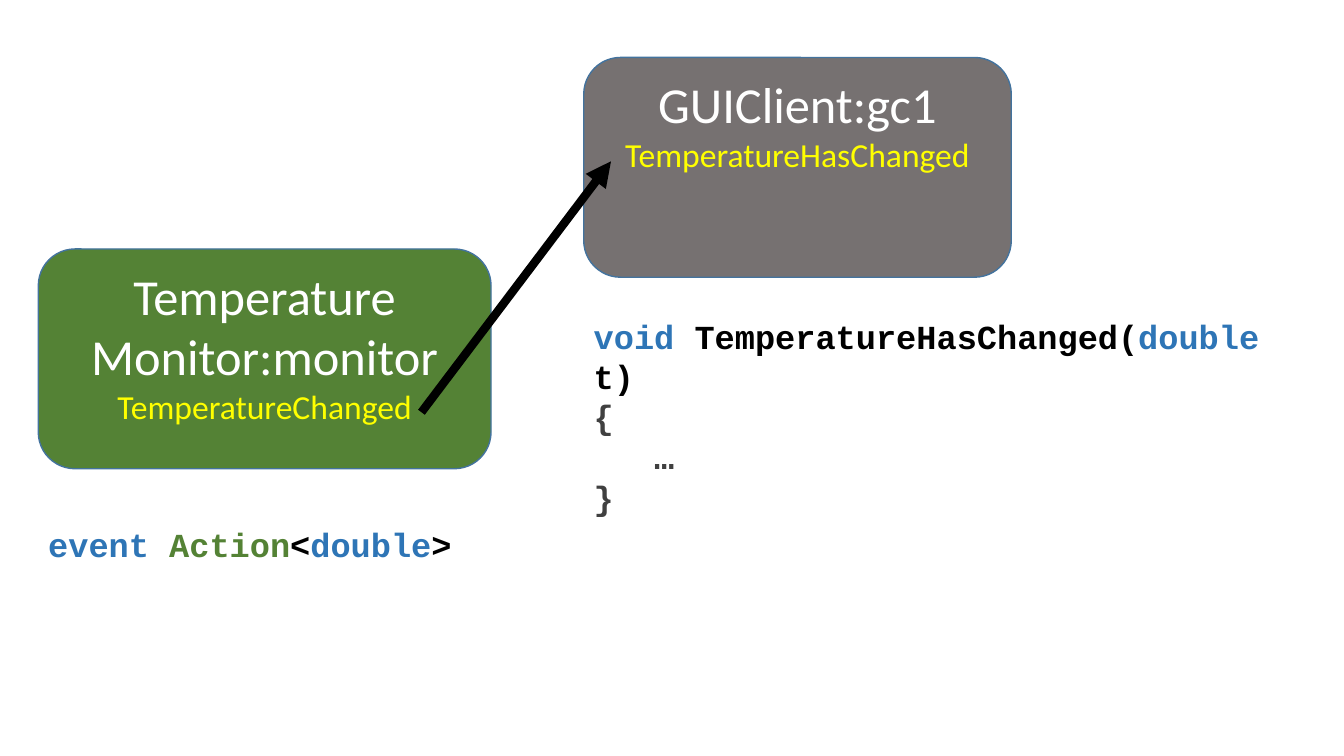
from lxml.etree import SubElement
from pptx import Presentation
from pptx.dml.color import RGBColor
from pptx.enum.shapes import MSO_CONNECTOR, MSO_SHAPE
from pptx.enum.text import MSO_ANCHOR, MSO_AUTO_SIZE, PP_ALIGN
from pptx.oxml.ns import qn
from pptx.util import Inches, Pt

WHITE, YELLOW, BLACK = "FFFFFF", "FFFF00", "000000"
GREEN, GRAY, BLUE, DARK = "548235", "767171", "2E75B6", "404040"
EDGE = "43739E"


def color(value):
    return RGBColor.from_string(value)


def add_run(para, text, size, font, tint, bold=False):
    run = para.add_run()
    run.text = text
    run.font.size = Pt(size)
    run.font.name = font
    run.font.bold = bold
    run.font.color.rgb = color(tint)


def next_para(frame, index):
    return frame.add_paragraph() if index else frame.paragraphs[0]


def add_object(slide, left, top, width, fill, title, member):
    """Draw a rounded object box: title lines above a yellow member name."""
    box = slide.shapes.add_shape(MSO_SHAPE.ROUNDED_RECTANGLE, Inches(left),
                                 Inches(top), Inches(width), Inches(2.18))
    box.shadow.inherit = False
    box.fill.solid()
    box.fill.fore_color.rgb = color(fill)
    box.line.color.rgb = color(EDGE)
    box.line.width = Pt(1)
    frame = box.text_frame
    frame.word_wrap = True
    frame.vertical_anchor = MSO_ANCHOR.TOP
    lines = [(text, 36, WHITE) for text in title] + [(member, 24, YELLOW)]
    for index, (text, size, tint) in enumerate(lines):
        para = next_para(frame, index)
        para.alignment = PP_ALIGN.CENTER
        add_run(para, text, size, "Calibri", tint)


def add_code(slide, left, top, width, height, lines):
    """Add a code listing; each line is a list of (text, color) pairs."""
    box = slide.shapes.add_textbox(Inches(left), Inches(top),
                                   Inches(width), Inches(height))
    frame = box.text_frame
    frame.word_wrap = True
    frame.auto_size = MSO_AUTO_SIZE.SHAPE_TO_FIT_TEXT
    for index, line in enumerate(lines):
        para = next_para(frame, index)
        for text, tint in line:
            add_run(para, text, 24, "Courier New", tint, bold=True)


def add_arrow(slide, x1, y1, x2, y2):
    arrow = slide.shapes.add_connector(MSO_CONNECTOR.STRAIGHT, Inches(x1),
                                       Inches(y1), Inches(x2), Inches(y2))
    arrow.line.color.rgb = color(BLACK)
    arrow.line.width = Pt(6)
    SubElement(arrow.line._get_or_add_ln(), qn("a:tailEnd"), type="triangle")
    SubElement(arrow._element.spPr, qn("a:effectLst"))


def main():
    deck = Presentation()
    deck.slide_width = Inches(13.33)
    deck.slide_height = Inches(7.5)
    slide = deck.slides.add_slide(deck.slide_layouts[6])

    add_object(slide, 0.38, 2.47, 4.49, GREEN,
               ["Temperature", "Monitor:monitor"], "TemperatureChanged")
    add_object(slide, 5.79, 0.57, 4.24, GRAY,
               ["GUIClient:gc1"], "TemperatureHasChanged")
    add_arrow(slide, 4.18, 4.09, 6.06, 1.6)

    add_code(slide, 0.38, 5.15, 4.36, 0.5, [
        [("event ", BLUE), ("Action", GREEN), ("<", BLACK),
         ("double", BLUE), (">", BLACK)],
    ])
    add_code(slide, 5.79, 3.08, 7.16, 1.72, [
        [("void ", BLUE), ("TemperatureHasChanged(", BLACK),
         ("double", BLUE), (" t)", BLACK)],
        [("{", DARK)],
        [("   …", DARK)],
        [("}", DARK)],
    ])
    deck.save("out.pptx")


if __name__ == "__main__":
    main()
